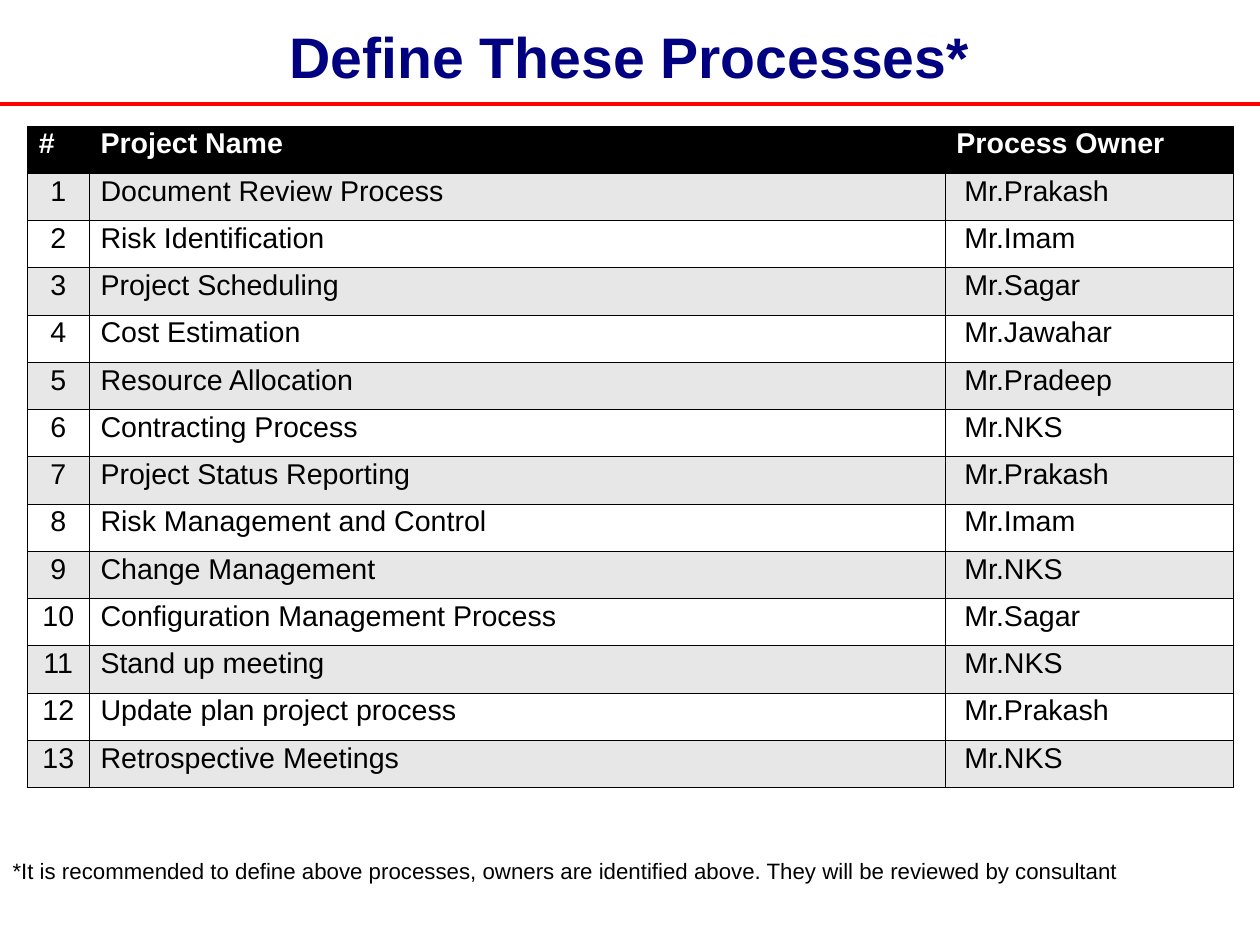
from pptx import Presentation
from pptx.dml.color import RGBColor
from pptx.enum.shapes import MSO_CONNECTOR
from pptx.enum.text import MSO_ANCHOR, PP_ALIGN
from pptx.oxml import parse_xml
from pptx.oxml.ns import nsdecls
from pptx.util import Cm, Pt

STRAIGHT = MSO_CONNECTOR.STRAIGHT
MIDDLE = MSO_ANCHOR.MIDDLE
LEFT, CENTER = PP_ALIGN.LEFT, PP_ALIGN.CENTER

NAVY = RGBColor(0x00, 0x00, 0x80)
RED = RGBColor(0xFF, 0x00, 0x00)
BLACK = RGBColor(0x00, 0x00, 0x00)
WHITE = RGBColor(0xFF, 0xFF, 0xFF)
GREY = RGBColor(0xE7, 0xE7, 0xE7)

HEADERS = ("#", "Project Name", "Process Owner")
PROCESSES = [
    ("Document Review Process", "Mr.Prakash"),
    ("Risk Identification", "Mr.Imam"),
    ("Project Scheduling", "Mr.Sagar"),
    ("Cost Estimation", "Mr.Jawahar"),
    ("Resource Allocation", "Mr.Pradeep"),
    ("Contracting Process", "Mr.NKS"),
    ("Project Status Reporting", "Mr.Prakash"),
    ("Risk Management and Control", "Mr.Imam"),
    ("Change Management", "Mr.NKS"),
    ("Configuration Management Process", "Mr.Sagar"),
    ("Stand up meeting", "Mr.NKS"),
    ("Update plan project process", "Mr.Prakash"),
    ("Retrospective Meetings", "Mr.NKS"),
]
COLUMN_WIDTHS = (Cm(1.37), Cm(19.02), Cm(6.4))
ROW_HEIGHT = Cm(1.05)
OWNER_COLUMN = 2


def format_paragraph(paragraph, size, color, bold=False, alignment=LEFT, spacing=0.93):
    paragraph.alignment = alignment
    paragraph.line_spacing = spacing
    for run in paragraph.runs:
        run.font.name = "Arial"
        run.font.size = Pt(size)
        run.font.bold = bold
        run.font.color.rgb = color


def add_borders(cell):
    properties = cell._tc.get_or_add_tcPr()
    for side in ("lnL", "lnR", "lnT", "lnB"):
        properties.append(parse_xml(
            f'<a:{side} {nsdecls("a")} w="{Pt(0.45)}"><a:solidFill>'
            f'<a:srgbClr val="{BLACK}"/></a:solidFill></a:{side}>'))


presentation = Presentation()
presentation.slide_width = Cm(28)
presentation.slide_height = Cm(21)
slide = presentation.slides.add_slide(presentation.slide_layouts[5])

# Title and rule
title = slide.shapes.title
title.left, title.top, title.width, title.height = Cm(1.4), Cm(0.3), Cm(25.17), Cm(1.9)
title_frame = title.text_frame
title_frame.text = "Define These Processes*"
title_frame.vertical_anchor = MIDDLE
title_frame.margin_left = title_frame.margin_right = title_frame.margin_bottom = 0
format_paragraph(title_frame.paragraphs[0], 36, NAVY, bold=True, alignment=CENTER)

title_rule = slide.shapes.add_connector(STRAIGHT, 0, Cm(2.31), Cm(28), Cm(2.31))
title_rule.line.color.rgb = RED
title_rule.line.width = Pt(2.83)
title_rule._element.spPr.append(parse_xml(f'<a:effectLst {nsdecls("a")}/>'))

# Process table
rows = [HEADERS] + [(str(number), *process)
                    for number, process in enumerate(PROCESSES, start=1)]
table = slide.shapes.add_table(len(rows), len(HEADERS), Cm(0.61), Cm(2.8),
                               sum(COLUMN_WIDTHS), ROW_HEIGHT * len(rows)).table
table.first_row = table.horz_banding = False
for column, width in zip(table.columns, COLUMN_WIDTHS):
    column.width = width

for row_index, texts in enumerate(rows):
    is_header = row_index == 0
    row_fill = BLACK if is_header else GREY if row_index % 2 else WHITE
    for column_index, text in enumerate(texts):
        cell = table.cell(row_index, column_index)
        cell.text = text
        add_borders(cell)
        cell.fill.solid()
        cell.fill.fore_color.rgb = row_fill
        if column_index == OWNER_COLUMN and not is_header:
            cell.margin_left = Cm(0.43)
        format_paragraph(cell.text_frame.paragraphs[0], 18,
                         WHITE if is_header else BLACK, bold=is_header,
                         alignment=CENTER if column_index == 0 and not is_header else LEFT,
                         spacing=0.87)

# Footnote
footnote = slide.shapes.add_textbox(Cm(0.03), Cm(18.97), Cm(26.47), Cm(0.81))
footnote.text_frame.word_wrap = True
footnote.text_frame.text = ("*It is recommended to define above processes, owners are "
                            "identified above. They will be reviewed by consultant")
format_paragraph(footnote.text_frame.paragraphs[0], 14, BLACK)

presentation.save("out.pptx")
